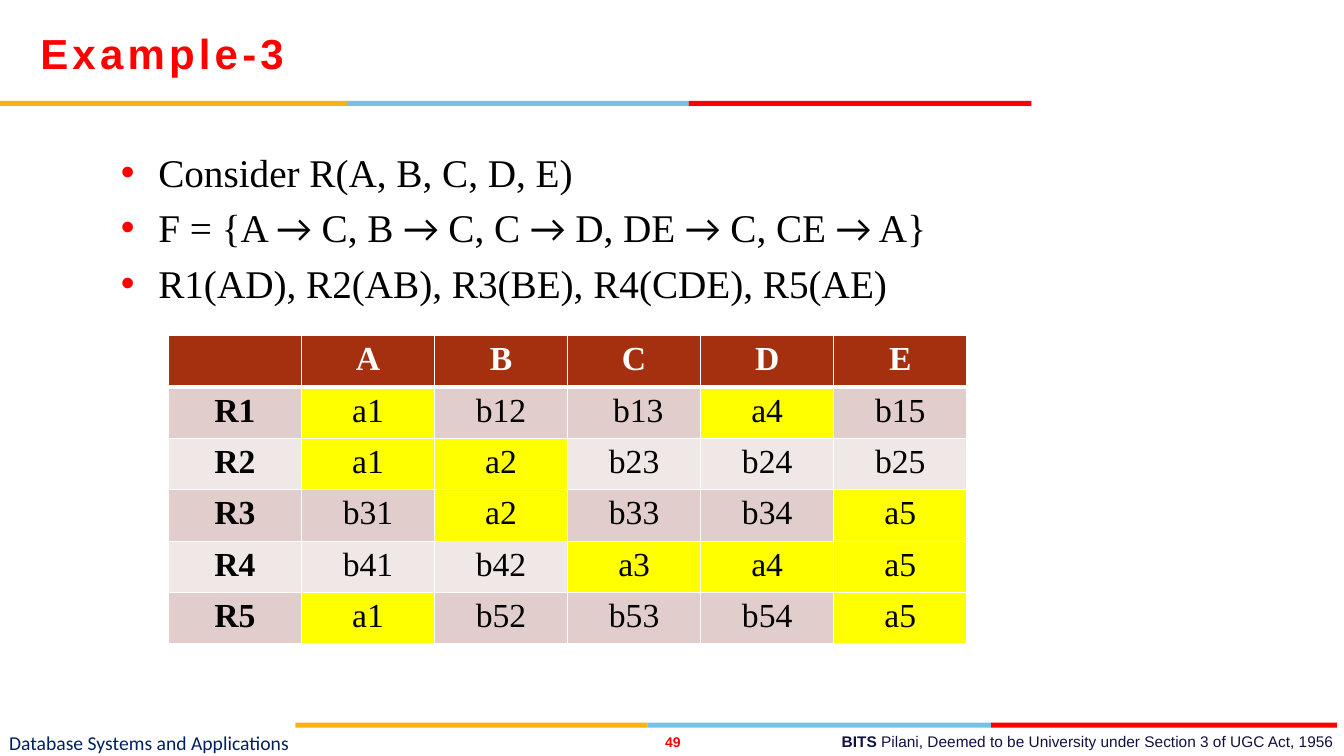
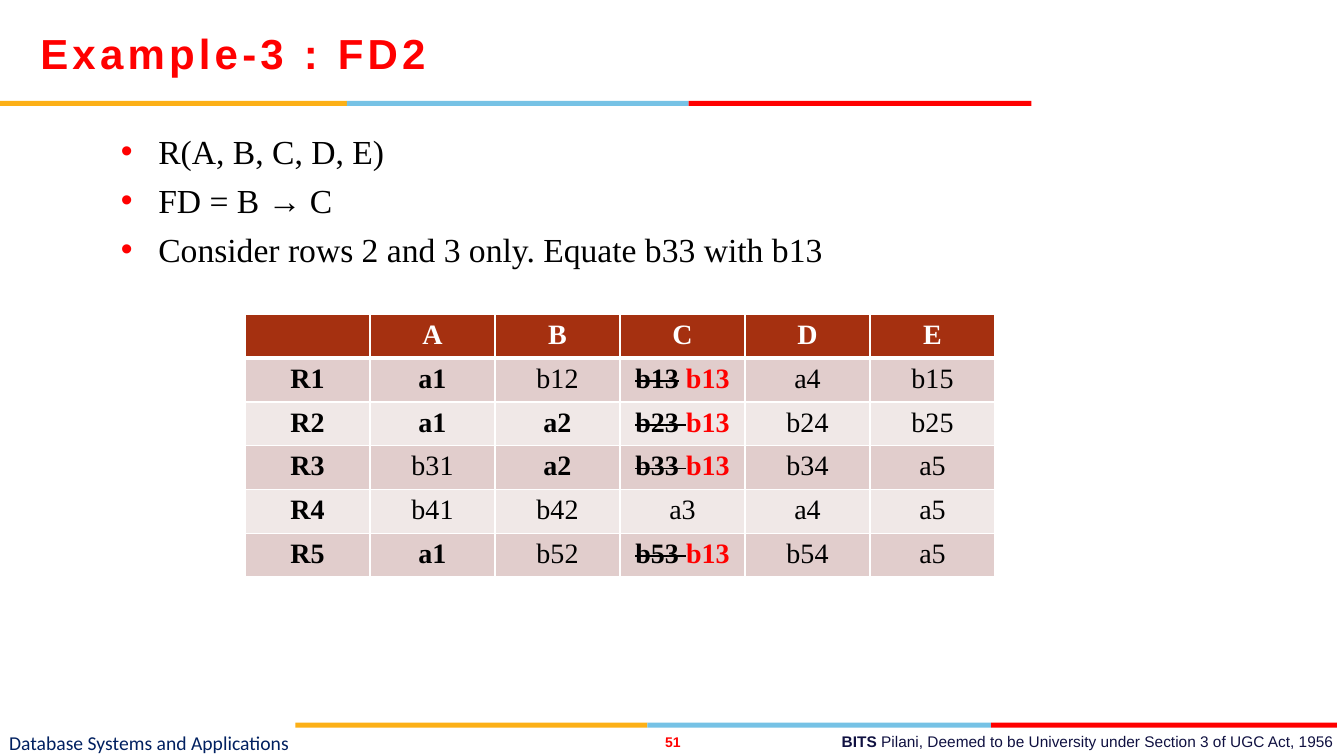
from lxml import etree
from pptx import Presentation
from pptx.dml.color import RGBColor
from pptx.enum.shapes import MSO_SHAPE
from pptx.enum.text import MSO_ANCHOR, PP_ALIGN
from pptx.oxml.ns import qn
from pptx.util import Inches, Pt

RECT = MSO_SHAPE.RECTANGLE
LEFT, MID, RIGHT, FULL = PP_ALIGN.LEFT, PP_ALIGN.CENTER, PP_ALIGN.RIGHT, PP_ALIGN.JUSTIFY
TOP, CENTER = MSO_ANCHOR.TOP, MSO_ANCHOR.MIDDLE


class Theme:
    gold, sky, red = "FCB017", "76C2E5", "FF0000"
    navy, ink, black, white = "002060", "101141", "000000", "FFFFFF"
    head, bands, mark = "A53010", ("F0E8E7", "E1CDCC"), "FFFF00"
    sans, foot, serif = "Arial", "Calibri", "Times New Roman"
    title, course, number, legal = 30, 14, 10, 11


def write(frame, lines, align=LEFT, anchor=TOP, pad=None, gap=0, bullet=None, **base):
    frame.word_wrap = True
    frame.vertical_anchor = anchor
    if pad is not None:
        frame.margin_left = frame.margin_right = Inches(pad[0])
        frame.margin_top = frame.margin_bottom = Inches(pad[1])
    for row, line in enumerate(lines):
        para = frame.add_paragraph() if row else frame.paragraphs[0]
        para.alignment = align
        if bullet:
            props = para._p.get_or_add_pPr()
            props.set("marL", str(Inches(0.37)))
            props.set("indent", str(-Inches(0.37)))
            tint = etree.SubElement(props, qn("a:buClr"))
            etree.SubElement(tint, qn("a:srgbClr")).set("val", bullet)
            etree.SubElement(props, qn("a:buFont")).set("typeface", Theme.sans)
            etree.SubElement(props, qn("a:buChar")).set("char", "•")
        if row and gap:
            para.space_before = Pt(gap)
        for part in [line] if isinstance(line, str) else line:
            text, extra = (part, {}) if isinstance(part, str) else part
            look = {**base, **extra}
            run = para.add_run()
            run.text = text
            run.font.size = Pt(look["size"])
            run.font.name = look["font"]
            run.font.bold = look.get("bold", False)
            run.font.color.rgb = RGBColor.from_string(look["color"])
            if look.get("space"):
                run.font._element.set("spc", str(look["space"] * 100))
            if look.get("strike"):
                run.font._element.set("strike", "sngStrike")


def edge(cell, side, width):
    line = etree.SubElement(cell._tc.get_or_add_tcPr(), qn("a:" + side))
    line.set("w", str(Pt(width)))
    fill = etree.SubElement(line, qn("a:solidFill"))
    etree.SubElement(fill, qn("a:srgbClr")).set("val", Theme.white)


first, *rest = "F = {A → C, B → C, C → D, DE → C, CE → A}".split("→")
arrow = ("→", {"font": Theme.foot})
rules = [first] + [part for tail in rest for part in (arrow, tail)]

pages = [
    {
        "title": "Example-3", "number": "49",
        "body": (1.2, 1.42, 8.38, 1.8), "size": 28,
        "lines": ["Consider R(A, B, C, D, E)", rules,
                  "R1(AD), R2(AB), R3(BE), R4(CDE), R5(AE)"],
        "grid": (1.67, 3.33), "cell": (1.32, 0.51), "type": 24,
        "marked": {"a1", "a2", "a3", "a4", "a5"}, "strong": set(),
        "rows": [
            ["a1", "b12", " b13", "a4", "b15"],
            ["a1", "a2", "b23", "b24", "b25"],
            ["b31", "a2", "b33", "b34", "a5"],
            ["b41", "b42", "a3", "a4", "a5"],
            ["a1", "b52", "b53", "b54", "a5"],
        ],
    },
    {
        "title": "Example-3 : FD2", "number": "51",
        "body": (1.2, 1.25, 9.19, 1.7), "size": 24,
        "lines": ["R(A, B, C, D, E)", "FD = B → C",
                  "Consider rows 2 and 3 only. Equate b33 with b13"],
        "grid": (2.43, 3.12), "cell": (1.24, 0.41), "type": 20,
        "marked": set(), "strong": {"a1", "a2"},
        "rows": [
            ["a1", "b12", "b13| b13", "a4", "b15"],
            ["a1", "a2", "b23 |b13", "b24", "b25"],
            ["b31", "a2", "b33 |b13", "b34", "a5"],
            ["b41", "b42", "a3", "a4", "a5"],
            ["a1", "b52", "b53 |b13", "b54", "a5"],
        ],
    },
]

deck = Presentation()
deck.slide_width, deck.slide_height = Inches(13.33), Inches(7.5)

for page in pages:
    slide = deck.slides.add_slide(deck.slide_layouts[6])
    shapes = slide.shapes

    for y, stops in ((1, (0, 3.44, 6.83, 10.23)), (7.17, (2.93, 6.42, 9.83, 13.26))):
        for x, end, tint in zip(stops, stops[1:], (Theme.gold, Theme.sky, Theme.red)):
            bar = shapes.add_shape(RECT, Inches(x), Inches(y), Inches(end - x), Inches(0.05))
            bar.shadow.inherit = False
            bar.fill.solid()
            bar.fill.fore_color.rgb = RGBColor.from_string(tint)
            bar.line.fill.background()

    legal = [("BITS ", {"bold": True}),
             "Pilani, Deemed to be University under Section 3 of UGC Act, 1956"]
    flat = {"anchor": CENTER, "pad": (0, 0)}
    texts = [
        ((0.09, 7.23, 4.96, 0.27), ["Database Systems and Applications"],
         dict(flat, size=Theme.course, font=Theme.foot, color=Theme.navy)),
        ((6.51, 7.28, 0.33, 0.17), [page["number"]],
         dict(flat, align=MID, size=Theme.number, font=Theme.sans, color=Theme.red, bold=True)),
        ((8.03, 7.21, 5.3, 0.29), [legal],
         dict(align=RIGHT, size=Theme.legal, font=Theme.sans, color=Theme.ink)),
        ((0.4, 0.1, 9.99, 0.85), [page["title"]],
         dict(flat, size=Theme.title, font=Theme.sans, color=Theme.red, bold=True, space=3)),
        (page["body"], page["lines"],
         dict(align=FULL, pad=(0, 0.05), gap=6, bullet=Theme.red,
              size=page["size"], font=Theme.serif, color=Theme.black)),
    ]
    for place, lines, look in texts:
        box = shapes.add_textbox(*map(Inches, place))
        write(box.text_frame, lines, **look)

    rows = [["", *"ABCDE"]]
    rows += [[f"R{n}", *row] for n, row in enumerate(page["rows"], 1)]
    high, wide = len(rows), len(rows[0])
    width, height = page["cell"]
    left, top = page["grid"]
    table = shapes.add_table(high, wide, Inches(left), Inches(top),
                             Inches(width * wide), Inches(height * high)).table
    table.horz_banding = False
    for col in table.columns:
        col.width = Inches(width)
    for r, row in enumerate(rows):
        table.rows[r].height = Inches(height)
        for c, text in enumerate(row):
            cell = table.cell(r, c)
            for side in ("lnL", "lnR", "lnT", "lnB"):
                thick = (r, side) in ((0, "lnB"), (1, "lnT"))
                edge(cell, side, 3 if thick else 1)
            fill = Theme.bands[r % 2] if r else Theme.head
            if text in page["marked"]:
                fill = Theme.mark
            cell.fill.solid()
            cell.fill.fore_color.rgb = RGBColor.from_string(fill)
            old, bar, new = text.partition("|")
            runs = [(old, {"strike": True}), (new, {"color": Theme.red})] if bar else text
            strong = r == 0 or c == 0 or bool(bar) or text in page["strong"]
            write(cell.text_frame, [runs], align=MID, size=page["type"], font=Theme.serif,
                  color=Theme.black if r else Theme.white, bold=strong)

deck.save("out.pptx")
